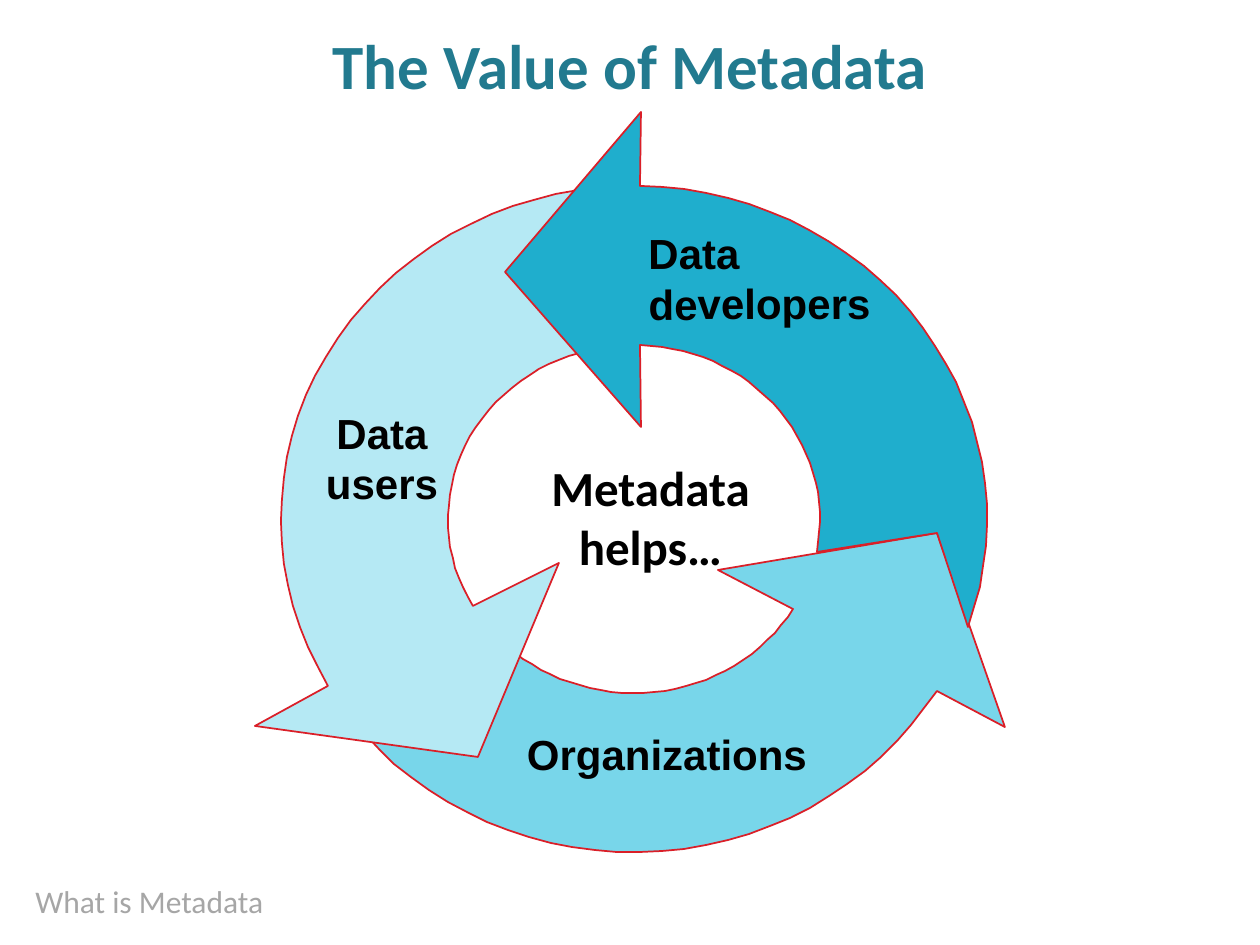
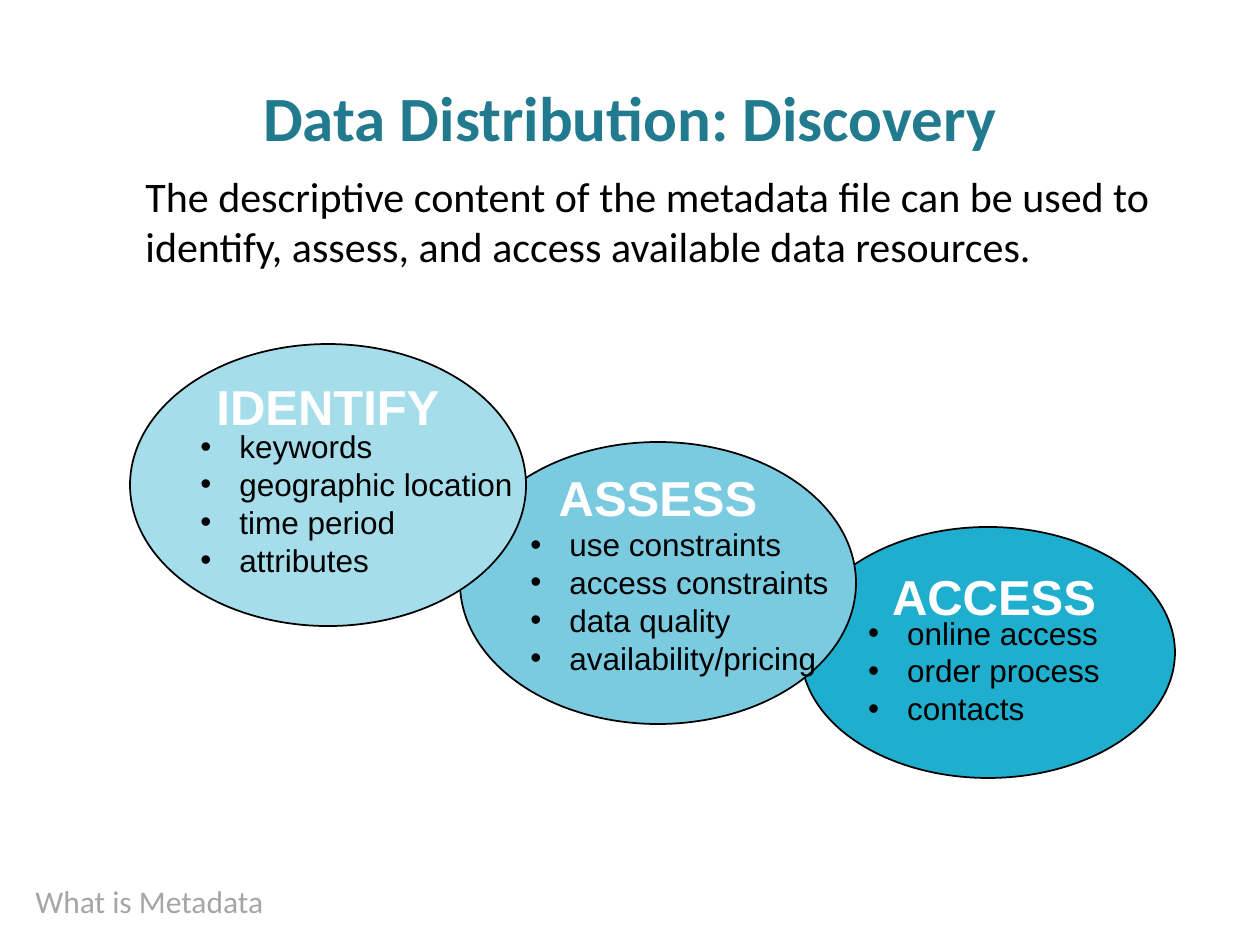
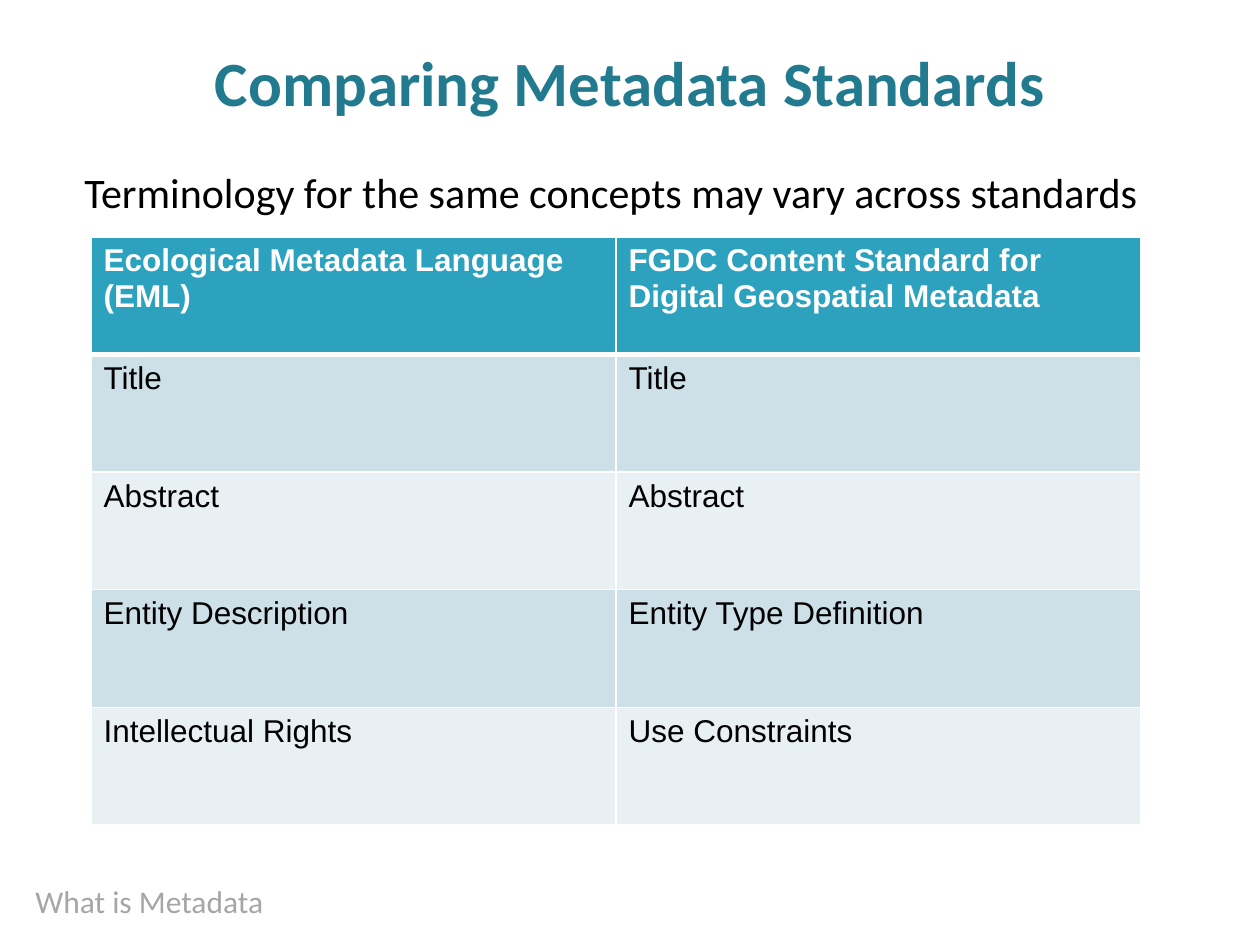
from math import cos, radians, sin

from lxml.etree import SubElement
from pptx import Presentation
from pptx.dml.color import RGBColor
from pptx.enum.shapes import MSO_SHAPE
from pptx.enum.text import MSO_ANCHOR, PP_ALIGN
from pptx.oxml.ns import qn
from pptx.util import Pt

SCALE = 914400 / 126

WHITE = RGBColor(0xFF, 0xFF, 0xFF)
BLACK = RGBColor(0, 0, 0)
GREY = RGBColor(0xA6, 0xA6, 0xA6)
TEAL = RGBColor(0x22, 0x7A, 0x8F)
RED = RGBColor(0xDA, 0x1F, 0x28)
DEEP = RGBColor(0x1F, 0xAE, 0xCD)
SKY = RGBColor(0x78, 0xD6, 0xEA)
PALE = RGBColor(0xB5, 0xE9, 0xF4)
MID = RGBColor(0x7A, 0xCB, 0xE0)
LIGHT = RGBColor(0xA6, 0xDD, 0xEA)
HEAD = RGBColor(0x2D, 0xA2, 0xBF)
BANDS = RGBColor(0xCD, 0xE0, 0xE8), RGBColor(0xE8, 0xF0, 0xF4)

SANS, BODY = "Arial", "Calibri"
CENTER, LEFT = PP_ALIGN.CENTER, PP_ALIGN.LEFT
TOP, MIDDLE = MSO_ANCHOR.TOP, MSO_ANCHOR.MIDDLE

HUB = 634, 519
OUTER = 353, 333
INNER = 186, 174


def emu(px):
    return int(px * SCALE)


def box(*px):
    return [emu(n) for n in px]


def paint(shape, fill, line):
    """Give a shape its fill and a 1 pt outline; None means no paint."""
    shape.shadow.inherit = False
    if fill is None:
        shape.fill.background()
    else:
        shape.fill.solid()
        shape.fill.fore_color.rgb = fill
    if line is None:
        shape.line.fill.background()
    else:
        shape.line.color.rgb = line
        shape.line.width = Pt(1)


def indent(para, left, first=0, mark=None):
    props = para._p.get_or_add_pPr()
    props.set("marL", str(emu(left)))
    props.set("indent", str(emu(first)))
    if mark:
        SubElement(props, qn("a:buFont")).set("typeface", SANS)
        SubElement(props, qn("a:buChar")).set("char", mark)


def write(shape, lines, size, font, color, bold=False, align=LEFT,
          anchor=TOP, wrap=True, left=0, first=0, mark=None):
    """Fill a shape with one paragraph per line, all in one style."""
    frame = shape.text_frame
    frame.word_wrap = wrap
    frame.vertical_anchor = anchor
    for i, line in enumerate(lines):
        para = frame.add_paragraph() if i else frame.paragraphs[0]
        para.alignment = align
        if left:
            indent(para, left, first, mark)
        run = para.add_run()
        run.text = line
        run.font.size = Pt(size)
        run.font.name = font
        run.font.bold = bold
        run.font.color.rgb = color


def text(slide, place, lines, *style, **more):
    area = slide.shapes.add_textbox(*box(*place))
    write(area, lines, *style, **more)
    return area


def start(deck, title, top):
    """Add a slide with the shared footer and title."""
    slide = deck.slides.add_slide(deck.slide_layouts[6])
    text(slide, (23, 876, 527, 50), ["What is Metadata"], 18, BODY, GREY)
    text(slide, (0, top, 1260, 97), [title], 36, BODY, TEAL, True,
         align=CENTER, anchor=MIDDLE)
    return slide


def arc(radii, begin, end, steps=30):
    """List points on the ring, with angles clockwise from the right."""
    turn = [radians(begin + (end - begin) * i / steps)
            for i in range(steps + 1)]
    return [(HUB[0] + radii[0] * cos(a), HUB[1] + radii[1] * sin(a))
            for a in turn]


def arrow(slide, points, fill):
    pen = slide.shapes.build_freeform(*points[0], scale=SCALE)
    pen.add_line_segments(points[1:], close=True)
    paint(pen.convert_to_shape(), fill, RED)


def label(slide, place, lines, align=CENTER, turn=0):
    shape = slide.shapes.add_shape(MSO_SHAPE.ROUNDED_RECTANGLE, *box(*place))
    paint(shape, None, None)
    shape.rotation = turn
    write(shape, lines, 24, SANS, BLACK, True, align=align,
          anchor=MIDDLE, wrap=False)


def bubble(slide, place, fill, name, spot, items):
    """Draw an ellipse with a bullet list and a heading above it."""
    shape = slide.shapes.add_shape(MSO_SHAPE.OVAL, *box(*place))
    paint(shape, fill, BLACK)
    write(shape, items, 18, SANS, BLACK, anchor=MIDDLE, wrap=False,
          left=39, first=-39, mark="•")
    shape.text_frame.margin_top = emu(42)
    head = text(slide, (*spot, 252, 72), [name], 28, SANS, WHITE, True,
                align=CENTER)
    head.text_frame.margin_top = emu(12)


def border(cell, side, width):
    line = SubElement(cell._tc.get_or_add_tcPr(), qn("a:ln" + side))
    line.set("w", str(Pt(width)))
    fill = SubElement(line, qn("a:solidFill"))
    SubElement(fill, qn("a:srgbClr")).set("val", str(WHITE))


def grid(slide, place, rows):
    size = len(rows), len(rows[0])
    table = slide.shapes.add_table(*size, *box(*place)).table
    table.horz_banding = False
    for r, row in enumerate(rows):
        for c, word in enumerate(row):
            cell = table.cell(r, c)
            for side in "LRTB":
                thick = (r, side) in ((0, "B"), (1, "T"))
                border(cell, side, 3 if thick else 1)
            cell.fill.solid()
            cell.fill.fore_color.rgb = BANDS[(r - 1) % 2] if r else HEAD
            para = cell.text_frame.paragraphs[0]
            run = para.add_run()
            run.text = word
            run.font.size = Pt(18)
            run.font.name = SANS
            run.font.bold = r == 0
            run.font.color.rgb = BLACK if r else WHITE


def value(deck):
    slide = start(deck, "The Value of Metadata", 16)
    arrow(slide, arc(OUTER, 140, 31)
          + [(1005, 727), (937, 533), (718, 570)]
          + arc(INNER, 31, 130), SKY)
    arrow(slide, arc(OUTER, 261, 150)
          + [(255, 726), (478, 757), (559, 563)]
          + arc(INNER, 150, 253), PALE)
    arrow(slide, arc(OUTER, -89, 19) + [(937, 533)]
          + arc(INNER, 11, -88)
          + [(641, 427), (505, 272), (641, 112)], DEEP)
    label(slide, (630, 214, 315, 127), ["Data", "developers"], LEFT, 359.7)
    label(slide, (285, 394, 194, 127), ["Data", "users"])
    label(slide, (570, 690, 194, 127), ["Organizations"])
    text(slide, (537, 451, 227, 131), ["Metadata", "helps…"], 28, BODY,
         BLACK, True, align=CENTER, wrap=False)


def search(deck):
    slide = start(deck, "Data Distribution: Discovery", 68)
    text(slide, (83, 164, 1101, 653),
         ["The descriptive content of the metadata file can be used to "
          "identify, assess, and access available data resources."],
         24, BODY, BLACK, left=50)
    bubble(slide, (801, 527, 374, 251), DEEP, "ACCESS", (868, 554),
           ["online access", "order process", "contacts"])
    bubble(slide, (460, 442, 396, 282), MID, "ASSESS", (532, 455),
           ["use constraints", "access constraints", "data quality",
            "availability/pricing"])
    bubble(slide, (130, 344, 396, 282), LIGHT, "IDENTIFY", (202, 364),
           ["keywords", "geographic location", "time period",
            "attributes"])


def compare(deck):
    slide = start(deck, "Comparing Metadata Standards", 33)
    grid(slide, (91, 237, 1050, 588), [
        ("Ecological Metadata Language (EML)",
         "FGDC Content Standard for Digital Geospatial Metadata"),
        ("Title", "Title"),
        ("Abstract", "Abstract"),
        ("Entity Description", "Entity Type Definition"),
        ("Intellectual Rights", "Use Constraints"),
    ])
    text(slide, (57, 160, 1103, 116),
         ["Terminology for the same concepts may vary across standards"],
         24, BODY, BLACK, left=50, first=-35)


def main():
    deck = Presentation()
    deck.slide_width, deck.slide_height = box(1260, 945)
    value(deck)
    search(deck)
    compare(deck)
    deck.save("out.pptx")


if __name__ == "__main__":
    main()
